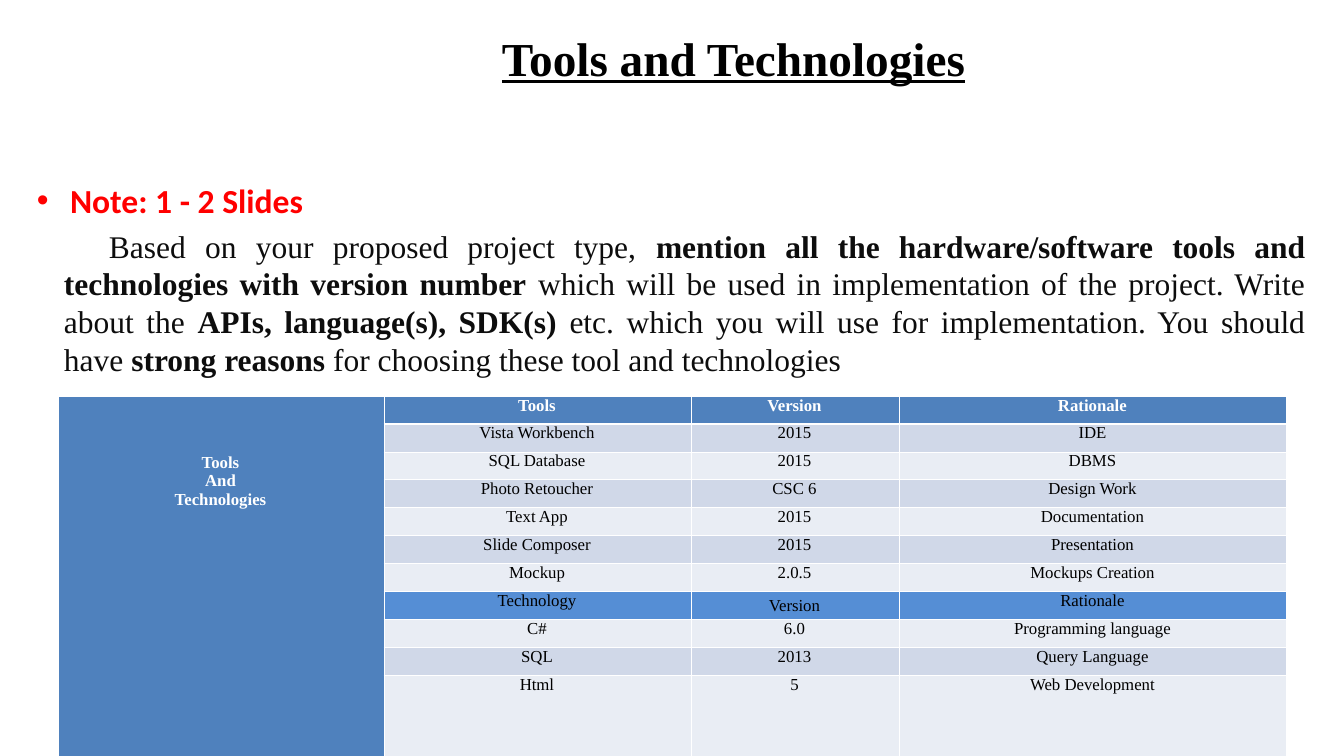
from dataclasses import dataclass

from lxml import etree
from pptx import Presentation, util as u
from pptx.dml.color import RGBColor
from pptx.enum import text as t
from pptx.oxml import ns

EMU_PER_PX = 12095


@dataclass(frozen=True)
class Theme:
    serif: str = "Times New Roman"
    sans: str = "Calibri"
    black: str = "000000"
    body: str = "0D0D0D"
    note: str = "FF0000"
    white: str = "FFFFFF"
    header: str = "4F81BD"
    subheader: str = "558ED5"
    dark_band: str = "D0D8E8"
    light_band: str = "E9EDF4"
    title_size: int = 45
    note_size: int = 32
    body_size: int = 30
    table_size: int = 16


@dataclass(frozen=True)
class Row:
    values: tuple[str, str, str]
    fill: str
    color: str = "000000"
    bold: bool = False
    border: int = 1


THEME = Theme()
HEADER = Row(("Tools", "Version", "Rationale"), THEME.header, THEME.white, True, 3)
SUBHEADER = Row(("Technology", "Version", "Rationale"), THEME.subheader)
TOOLS = (
    ("Vista Workbench", "2015", "IDE"),
    ("SQL Database", "2015", "DBMS"),
    ("Photo Retoucher", "CSC 6", "Design Work"),
    ("Text App", "2015", "Documentation"),
    ("Slide Composer", "2015", "Presentation"),
    ("Mockup", "2.0.5", "Mockups Creation"),
)
TECHNOLOGIES = (
    ("C#", "6.0", "Programming language"),
    ("SQL", "2013", "Query Language"),
    ("Html", "5", "Web Development"),
)
DESCRIPTION = (
    ("Based on your proposed project type, ", False),
    ("mention all the hardware/software tools and technologies with version number", True),
    (" which will be used in implementation of the project. Write about the ", False),
    ("APIs, language(s), SDK(s) ", True),
    ("etc. which you will use for implementation. You should have ", False),
    ("strong reasons ", True),
    ("for choosing these tool and technologies", False),
)
COLUMN_WIDTHS = (326, 307, 208, 388)
ROW_HEIGHT = 28
LAST_ROW_HEIGHT = 79


def px(value: int) -> u.Emu:
    return u.Emu(value * EMU_PER_PX)


def add_text(paragraph, text: str, *, size: int, color: str, font: str = THEME.serif,
             bold: bool = False, underline: bool = False, align=None) -> None:
    run = paragraph.add_run()
    run.text = text
    run.font.name = font
    run.font.size = u.Pt(size)
    run.font.color.rgb = RGBColor.from_string(color)
    run.font.bold = bold
    run.font.underline = underline
    if align is not None:
        paragraph.alignment = align


def place(shape, left: int, top: int, width: int, height: int) -> None:
    shape.left, shape.top, shape.width, shape.height = map(px, (left, top, width, height))
    frame = shape.text_frame
    frame.margin_left = frame.margin_right = px(8)
    frame.margin_top = frame.margin_bottom = px(4)
    frame.vertical_anchor = t.MSO_ANCHOR.TOP
    frame.auto_size = t.MSO_AUTO_SIZE.NONE
    frame.word_wrap = True


def set_indent(paragraph, left: int, first_line: int, bullet: bool) -> None:
    properties = paragraph._p.get_or_add_pPr()
    properties.set("marL", str(px(left)))
    properties.set("indent", str(px(first_line)))
    if bullet:
        etree.SubElement(properties, ns.qn("a:buChar")).set("char", "•")
    else:
        etree.SubElement(properties, ns.qn("a:buNone"))


def set_borders(cell, bottom: int) -> None:
    properties = cell._tc.get_or_add_tcPr()
    for side, width in (("L", 1), ("R", 1), ("T", 1), ("B", bottom)):
        line = etree.SubElement(properties, ns.qn(f"a:ln{side}"), w=str(u.Pt(width)))
        fill = etree.SubElement(line, ns.qn("a:solidFill"))
        etree.SubElement(fill, ns.qn("a:srgbClr"), val=THEME.white)


def style_cell(cell, row: Row) -> None:
    set_borders(cell, row.border)
    cell.fill.solid()
    cell.fill.fore_color.rgb = RGBColor.from_string(row.fill)
    cell.margin_left, cell.margin_right = px(5), px(6)
    cell.margin_top = cell.margin_bottom = 0
    cell.vertical_anchor = t.MSO_ANCHOR.TOP


def write_cell(cell, lines: tuple[str, ...], row: Row) -> None:
    frame = cell.text_frame
    for index, line in enumerate(lines):
        paragraph = frame.add_paragraph() if index else frame.paragraphs[0]
        add_text(paragraph, line, size=THEME.table_size, color=row.color,
                 bold=row.bold, align=t.PP_ALIGN.CENTER)


def table_rows() -> list[Row]:
    """Banding alternates over the whole table, across the subheader too."""
    rows = [HEADER]
    for values in (*TOOLS, None, *TECHNOLOGIES):
        band = THEME.dark_band if len(rows) % 2 else THEME.light_band
        rows.append(Row(values, band) if values else SUBHEADER)
    return rows


def add_tools_table(slide) -> None:
    rows = table_rows()
    height = ROW_HEIGHT * (len(rows) - 1) + LAST_ROW_HEIGHT
    table = slide.shapes.add_table(
        len(rows), len(COLUMN_WIDTHS), px(58), px(396),
        px(sum(COLUMN_WIDTHS)), px(height)).table
    table.first_row = table.horz_banding = False
    for column, width in zip(table.columns, COLUMN_WIDTHS):
        column.width = px(width)
    for index, row in enumerate(rows):
        last = index == len(rows) - 1
        table.rows[index].height = px(LAST_ROW_HEIGHT if last else ROW_HEIGHT)
        style_cell(table.cell(index, 0), HEADER)
        for column, value in enumerate(row.values, start=1):
            cell = table.cell(index, column)
            style_cell(cell, row)
            write_cell(cell, (value,), row)
            if row is SUBHEADER and value == "Version":
                cell.vertical_anchor = t.MSO_ANCHOR.MIDDLE
    group = table.cell(0, 0)
    group.merge(table.cell(len(rows) - 1, 0))
    group.margin_top = px(57)
    write_cell(group, ("Tools", "And", "Technologies"), HEADER)


def add_title(slide) -> None:
    title = slide.shapes.title
    place(title, 222, 25, 1023, 94)
    add_text(title.text_frame.paragraphs[0], "Tools and Technologies",
             size=THEME.title_size, color=THEME.black, bold=True, underline=True,
             align=t.PP_ALIGN.CENTER)


def add_body(slide) -> None:
    body = slide.placeholders[1]
    place(body, 29, 176, 1285, 504)
    note = body.text_frame.paragraphs[0]
    set_indent(note, 33, -33, bullet=True)
    add_text(note, "Note: 1 - 2 Slides", font=THEME.sans, size=THEME.note_size,
             color=THEME.note, bold=True, align=t.PP_ALIGN.JUSTIFY)
    description = body.text_frame.add_paragraph()
    description.level = 1
    set_indent(description, 27, 45, bullet=False)
    for text, bold in DESCRIPTION:
        add_text(description, text, size=THEME.body_size, color=THEME.body,
                 bold=bold, align=t.PP_ALIGN.JUSTIFY)


def main() -> None:
    presentation = Presentation()
    presentation.slide_width, presentation.slide_height = px(1344), px(756)
    slide = presentation.slides.add_slide(presentation.slide_layouts[1])
    add_title(slide)
    add_body(slide)
    add_tools_table(slide)
    presentation.save("out.pptx")


if __name__ == "__main__":
    main()
